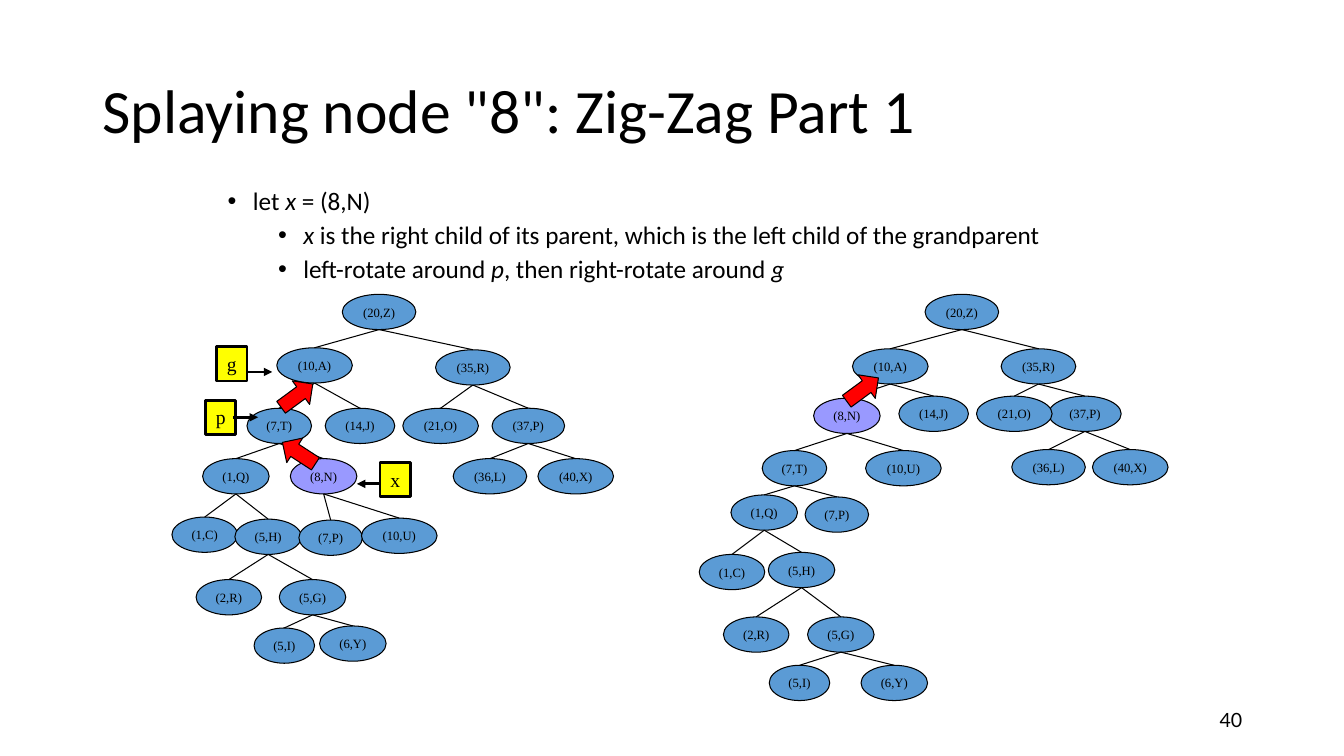
import pptx
import pptx.util
import pptx.dml.color
import pptx.enum.shapes
import pptx.enum.text
import pptx.oxml.ns
import lxml.etree

SCALE = 9144
NODE_H = 35
SERIF = "Times New Roman"
BLUE, VIOLET = "5B9BD5", "9999FF"
SHAPE = pptx.enum.shapes.MSO_SHAPE
ALIGN = pptx.enum.text.PP_ALIGN
ANCHOR = pptx.enum.text.MSO_ANCHOR

WIDTHS = {
    "20,Z": 73, "10,A": 75, "35,R": 74, "37,P": 72, "21,O": 75, "14,J": 69,
    "7,T": 64, "8,N": 66, "10,U": 75, "7,P": 63, "1,Q": 66, "1,C": 65,
    "5,H": 66, "2,R": 65, "5,G": 66, "5,I": 60, "6,Y": 66, "36,L": 73, "40,X": 75,
}

# label, parent, centre x, top
BEFORE = [
    ("20,Z", None, 206, 0), ("10,A", "20,Z", 142, 53), ("35,R", "20,Z", 299, 55),
    ("7,T", "10,A", 107, 113), ("14,J", "10,A", 187, 113),
    ("21,O", "35,R", 267, 113), ("37,P", "35,R", 354, 113),
    ("1,Q", "7,T", 64, 163), ("8,N", "7,T", 151, 163),
    ("36,L", "37,P", 316, 163), ("40,X", "37,P", 401, 163),
    ("1,C", "1,Q", 33, 221), ("5,H", "1,Q", 96, 223),
    ("7,P", "8,N", 158, 224), ("10,U", "8,N", 226, 222),
    ("2,R", "5,H", 57, 283), ("5,G", "5,H", 140, 283),
    ("5,I", "5,G", 112, 331), ("6,Y", "5,G", 180, 329),
]
AFTER = [
    ("20,Z", None, 261, 0), ("10,A", "20,Z", 190, 54), ("35,R", "20,Z", 337, 54),
    ("8,N", "10,A", 147, 103), ("14,J", "10,A", 233, 101),
    ("37,P", "35,R", 383, 101), ("21,O", "35,R", 313, 101),
    ("7,T", "8,N", 95, 155), ("10,U", "8,N", 203, 155),
    ("36,L", "37,P", 347, 154), ("40,X", "37,P", 428, 154),
    ("1,Q", "7,T", 65, 199), ("7,P", "7,T", 137, 201),
    ("1,C", "1,Q", 33, 258), ("5,H", "1,Q", 102, 256),
    ("2,R", "5,H", 57, 320), ("5,G", "5,H", 141, 320),
    ("5,I", "5,G", 100, 368), ("6,Y", "5,G", 194, 368),
]
BULLETS = [
    (0, [("let ", False), ("x", True), (" = (8,N)", False)]),
    (1, [("x", True), (" is the right child of its parent, which is the left child of the grandparent", False)]),
    (1, [("left-rotate around ", False), ("p", True), (", then right-rotate around ", False), ("g", True)]),
]


def px(*values):
    return [pptx.util.Emu(round(v * SCALE)) for v in values]


def rgb(color):
    return pptx.dml.color.RGBColor.from_string(color)


def style(r, font, size, italic=False):
    r.font.name = font
    r.font.size = pptx.util.Pt(size)
    r.font.italic = italic
    r.font.color.rgb = rgb("000000")


def add_text(s, box, text, font, size, align):
    tf = s.shapes.add_textbox(*px(*box)).text_frame
    tf.word_wrap = True
    tf.vertical_anchor = ANCHOR.MIDDLE
    tf.text = text
    p = tf.paragraphs[0]
    p.alignment = align
    p.line_spacing = 0.9
    style(p.runs[0], font, size)


def add_shape(s, kind, box, fill, width, text="", size=9, anchor=ANCHOR.MIDDLE):
    sp = s.shapes.add_shape(kind, *px(*box))
    sp.shadow.inherit = False
    sp.fill.solid()
    sp.fill.fore_color.rgb = rgb(fill)
    sp.line.color.rgb = rgb("000000")
    sp.line.width = pptx.util.Pt(width)
    if text:
        tf = sp.text_frame
        tf.word_wrap = False
        tf.vertical_anchor = anchor
        tf.text = text
        tf.paragraphs[0].alignment = ALIGN.CENTER
        style(tf.paragraphs[0].runs[0], SERIF, size)
    return sp


def add_line(s, start, end, width=0.75, arrow=False):
    c = s.shapes.add_connector(pptx.enum.shapes.MSO_CONNECTOR.STRAIGHT, *px(*start, *end))
    c.line.color.rgb = rgb("000000")
    c.line.width = pptx.util.Pt(width)
    if arrow:
        ln = c.line._get_or_add_ln()
        lxml.etree.SubElement(ln, pptx.oxml.ns.qn("a:tailEnd"), type="triangle")
    lxml.etree.SubElement(c._element.spPr, pptx.oxml.ns.qn("a:effectLst"))


def add_bullets(s, box):
    sp = s.shapes.add_textbox(*px(*box))
    sp.fill.solid()
    sp.fill.fore_color.rgb = rgb("FFFFFF")
    tf = sp.text_frame
    tf.word_wrap = True
    for i, (level, parts) in enumerate(BULLETS):
        p = tf.paragraphs[0] if i == 0 else tf.add_paragraph()
        p.level = level
        p.line_spacing = 0.9
        if i:
            p.space_before = pptx.util.Pt(5)
        pPr = p._p.get_or_add_pPr()
        margin, hang = px(25 + 50 * level, -25)
        pPr.set("marL", str(margin))
        pPr.set("indent", str(hang))
        lxml.etree.SubElement(pPr, pptx.oxml.ns.qn("a:buFont"), typeface="Arial")
        lxml.etree.SubElement(pPr, pptx.oxml.ns.qn("a:buChar"), char="•")
        for text, italic in parts:
            r = p.add_run()
            r.text = text
            style(r, "Calibri", 18, italic)


def add_tree(s, x, y, nodes, rotations):
    spots = {label: (x + cx, y + top) for label, _, cx, top in nodes}
    for label, (cx, top) in spots.items():
        w = WIDTHS[label]
        fill = VIOLET if label == "8,N" else BLUE
        add_shape(s, SHAPE.OVAL, (cx - w / 2, top, w, NODE_H), fill, 0.75, f"({label})")
    for label, parent, _, _ in nodes:
        if parent:
            cx, bottom = spots[parent][0], spots[parent][1] + NODE_H
            add_line(s, (cx, bottom), spots[label])
    for dx, dy, angle in rotations:
        sp = add_shape(s, SHAPE.DOWN_ARROW, (x + dx, y + dy, 29, 39), "FF0000", 0.75)
        sp.rotation = angle


def add_pointers(s, x, y):
    for name, dx, dy, start, end, ly in [
        ("x", 207, 167, 206, 184, 188),
        ("p", 34, 105, 61, 86, 122),
        ("g", 45, 52, 76, 100, 77),
    ]:
        add_shape(s, SHAPE.RECTANGLE, (x + dx, y + dy, 30, 34), "FFFF00", 2, name, 14, ANCHOR.TOP)
        add_line(s, (x + start, y + ly), (x + end, y + ly), 2, True)


def main():
    prs = pptx.Presentation()
    prs.slide_width, prs.slide_height = px(1333, 750)
    s = prs.slides.add_slide(prs.slide_layouts[6])
    add_text(s, (92, 40, 1150, 145), 'Splaying node "8": Zig-Zag Part 1', "Calibri", 44, ALIGN.LEFT)
    add_bullets(s, (216, 182, 905, 107))
    add_text(s, (942, 695, 300, 40), "40", "Lato", 14, ALIGN.RIGHT)
    add_tree(s, 170, 292, BEFORE, [(112, 138, 123), (110, 81, 233.7)])
    add_pointers(s, 170, 292)
    add_tree(s, 693, 292, AFTER, [(148, 75, 233.7)])
    prs.save("out.pptx")


if __name__ == "__main__":
    main()
